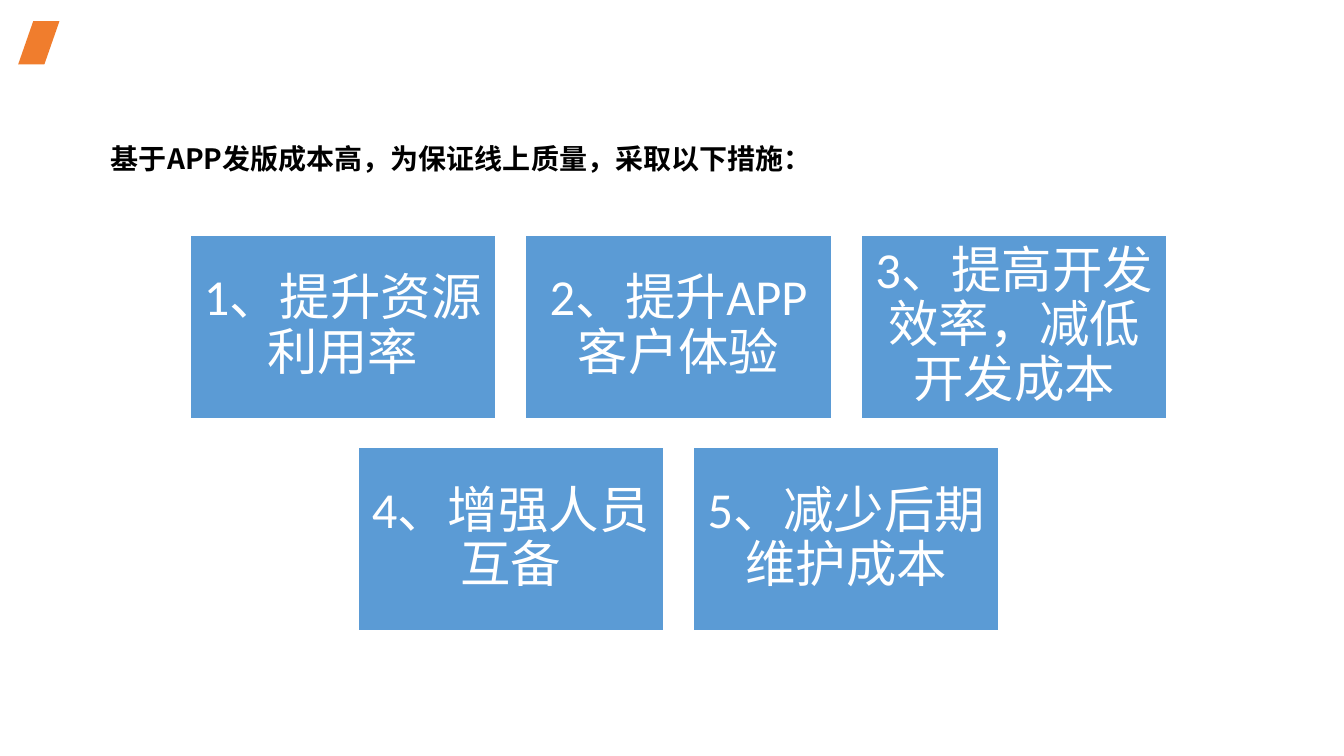
from dataclasses import dataclass

from pptx import Presentation, util as u
from pptx.dml.color import RGBColor
from pptx.enum import shapes, text
from pptx.oxml.ns import qn


@dataclass(frozen=True)
class Theme:
    accent: str = "F07D2D"
    card: str = "5B9BD5"
    white: str = "FFFFFF"
    black: str = "000000"
    latin: str = "Calibri"
    cjk: str = "Noto Sans CJK SC"
    heading_size: int = 20
    card_size: int = 36


@dataclass(frozen=True)
class Grid:
    """Card grid in inches; every row is centred on the same axis."""
    centre: float = 6.73
    top: float = 2.33
    width: float = 3.03
    height: float = 1.82
    gap_x: float = 0.3
    gap_y: float = 0.29

    def cell(self, row: int, col: int, count: int) -> tuple[float, float]:
        pitch = self.width + self.gap_x
        left = self.centre - (count * pitch - self.gap_x) / 2
        return left + col * pitch, self.top + row * (self.height + self.gap_y)


@dataclass(frozen=True)
class Card:
    label: str
    row: int
    col: int
    row_count: int


THEME = Theme()
GRID = Grid()
HEADING = "基于APP发版成本高，为保证线上质量，采取以下措施："
ROWS = (
    ("1、提升资源利用率", "2、提升APP客户体验", "3、提高开发效率，减低开发成本"),
    ("4、增强人员互备", "5、减少后期维护成本"),
)
CARDS = [Card(label, i, j, len(row))
         for i, row in enumerate(ROWS) for j, label in enumerate(row)]
# Corner outline in hundredths of an inch
MARK = ((33, 21), (59, 21), (44, 64), (18, 64))


def write(tf, words: str, *, size: int, color: str, font: str, align,
          anchor, spacing: float, inset: tuple[float, float],
          bold: bool = False, wrap: bool = True) -> None:
    tf.auto_size = text.MSO_AUTO_SIZE.NONE
    tf.word_wrap = wrap
    tf.vertical_anchor = anchor
    tf.margin_left = tf.margin_right = u.Inches(inset[0])
    tf.margin_top = tf.margin_bottom = u.Inches(inset[1])
    p = tf.paragraphs[0]
    p.alignment, p.line_spacing = align, spacing
    r = p.add_run()
    r.text = words
    r.font.name, r.font.size, r.font.bold = font, u.Pt(size), bold
    r.font.color.rgb = RGBColor.from_string(color)
    # East Asian typeface for the Chinese characters
    ea = r.font._element.makeelement(qn("a:ea"), {"typeface": THEME.cjk})
    r.font._element.find(qn("a:latin")).addnext(ea)


def paint(sp, fill: str) -> None:
    sp.shadow.inherit = False
    sp.fill.solid()
    sp.fill.fore_color.rgb = RGBColor.from_string(fill)


def draw_mark(s) -> None:
    builder = s.shapes.build_freeform(*MARK[0], scale=u.Inches(0.01))
    builder.add_line_segments(MARK[1:], close=True)
    sp = builder.convert_to_shape()
    paint(sp, THEME.accent)
    sp.line.fill.background()


def draw_heading(s) -> None:
    sp = s.shapes.title
    sp.left, sp.top = u.Inches(1), u.Inches(1.19)
    sp.width, sp.height = u.Inches(7.16), u.Inches(0.91)
    write(sp.text_frame, HEADING, size=THEME.heading_size, color=THEME.black,
          font=THEME.cjk, align=text.PP_ALIGN.LEFT, anchor=text.MSO_ANCHOR.TOP,
          spacing=1.5, inset=(0.1, 0.05), bold=True, wrap=False)


def draw_card(s, card: Card) -> None:
    left, top = GRID.cell(card.row, card.col, card.row_count)
    sp = s.shapes.add_shape(
        shapes.MSO_SHAPE.RECTANGLE, u.Inches(left), u.Inches(top),
        u.Inches(GRID.width), u.Inches(GRID.height))
    paint(sp, THEME.card)
    sp.line.color.rgb = RGBColor.from_string(THEME.white)
    sp.line.width = u.Pt(1)
    write(sp.text_frame, card.label, size=THEME.card_size, color=THEME.white,
          font=THEME.latin, align=text.PP_ALIGN.CENTER,
          anchor=text.MSO_ANCHOR.MIDDLE, spacing=0.9, inset=(0.13, 0.13))


def main() -> None:
    prs = Presentation()
    prs.slide_width, prs.slide_height = u.Inches(13.33), u.Inches(7.5)
    s = prs.slides.add_slide(prs.slide_layouts[5])

    # Corner mark and heading
    draw_mark(s)
    draw_heading(s)

    # Measures: three cards above two
    for card in CARDS:
        draw_card(s, card)

    prs.save("out.pptx")


if __name__ == "__main__":
    main()
